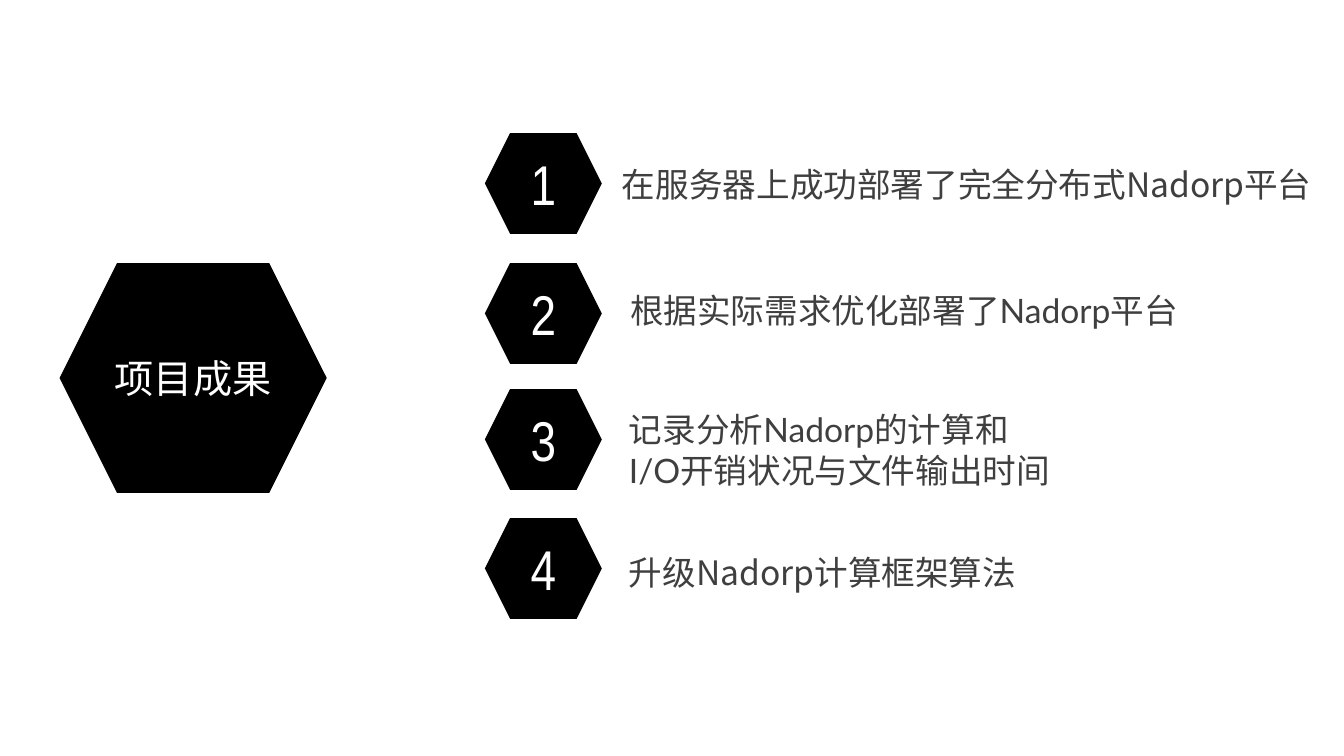
from dataclasses import dataclass

from lxml.etree import SubElement
from pptx import Presentation
from pptx.dml.color import RGBColor
from pptx.enum.shapes import MSO_SHAPE as Preset
from pptx.enum.text import MSO_ANCHOR as Anchor, MSO_AUTO_SIZE as AutoSize, PP_ALIGN as Align
from pptx.oxml.ns import qn
from pptx.util import Inches, Pt


@dataclass(frozen=True)
class Theme:
    hexagon: str = "000000"
    label: str = "FFFFFF"
    body: str = "3F3F3F"
    number_size: int = 40
    title_size: int = 28
    body_size: int = 24
    label_font: str = "Arial Narrow"
    body_font: str = "Lato"
    chinese_font: str = "Noto Sans CJK SC"


class ResultsSlide:
    """Places styled elements on one slide, in percent of its width and height."""

    def __init__(self, deck, theme):
        self.deck = deck
        self.theme = theme
        self.slide = deck.slides.add_slide(deck.slide_layouts[6])

    def place(self, left, top, width, height):
        across, down = self.deck.slide_width / 100, self.deck.slide_height / 100
        return [round(v) for v in (left * across, top * down, width * across, height * down)]

    def style(self, run, font, size, color):
        run.font.size = Pt(size)
        run.font.color.rgb = RGBColor.from_string(color)
        run.font.name = font
        SubElement(run.font._element, qn("a:ea"), typeface=self.theme.chinese_font)

    def hexagon(self, label, size, *box):
        badge = self.slide.shapes.add_shape(Preset.HEXAGON, *self.place(*box))
        badge.shadow.inherit = False
        badge.fill.solid()
        badge.fill.fore_color.rgb = RGBColor.from_string(self.theme.hexagon)
        badge.line.fill.background()
        frame = badge.text_frame
        frame.text = label
        frame.vertical_anchor = Anchor.MIDDLE
        frame.paragraphs[0].alignment = Align.CENTER
        self.style(frame.paragraphs[0].runs[0], self.theme.label_font, size, self.theme.label)

    def statement(self, lines, *box):
        frame = self.slide.shapes.add_textbox(*self.place(*box)).text_frame
        frame.word_wrap = True
        frame.auto_size = AutoSize.SHAPE_TO_FIT_TEXT
        for index, pieces in enumerate(lines):
            line = frame.add_paragraph() if index else frame.paragraphs[0]
            for wording, font in pieces:
                run = line.add_run()
                run.text = wording
                self.style(run, font, self.theme.body_size, self.theme.body)


def main():
    deck = Presentation()
    deck.slide_width, deck.slide_height = Inches(13.33), Inches(7.5)
    theme = Theme()
    page = ResultsSlide(deck, theme)
    lato, noto = theme.body_font, theme.chinese_font
    results = [
        (17.6, [[("在服务器上成功部署了完全分布式", lato), ("Nadorp平台", noto)]],
         (45.54, 21.07, 52.81, 6.67)),
        (34.8, [[("根据实际需求优化部署了Nadorp平台", lato)]],
         (46.14, 37.73, 50.41, 6.67)),
        (51.47, [[("记录分析Nadorp的计算和", lato)], [("I/O开销状况与文件输出时间", lato)]],
         (46.06, 53.47, 54.46, 12)),
        (68.53, [[("升级", lato), ("Nadorp", noto), ("计算框架算法", lato)]],
         (46.06, 72.4, 30.31, 6.67)),
    ]
    for number, (top, lines, box) in enumerate(results, 1):
        page.hexagon(str(number), theme.number_size, 36.08, top, 8.7, 13.33)
        page.statement(lines, *box)
    page.hexagon("项目成果", theme.title_size, 4.43, 34.8, 19.88, 30.4)
    deck.save("out.pptx")


if __name__ == "__main__":
    main()
